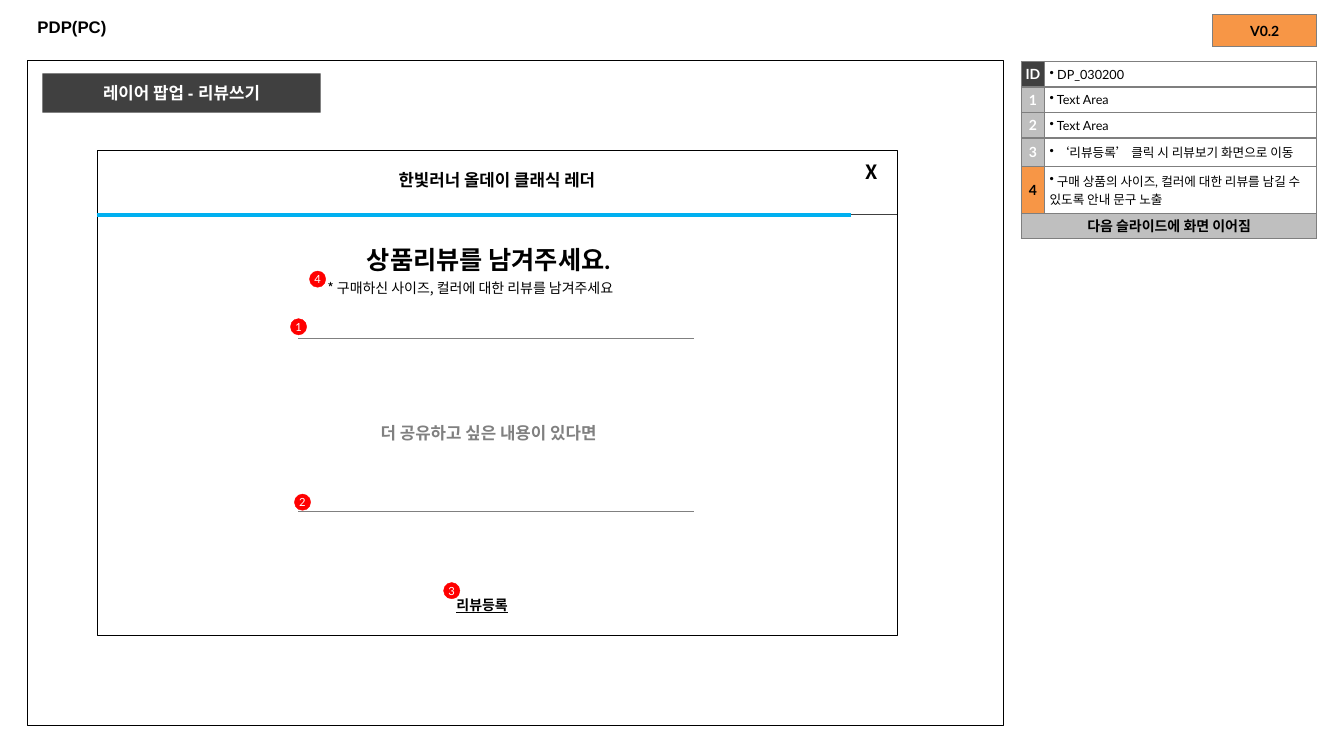
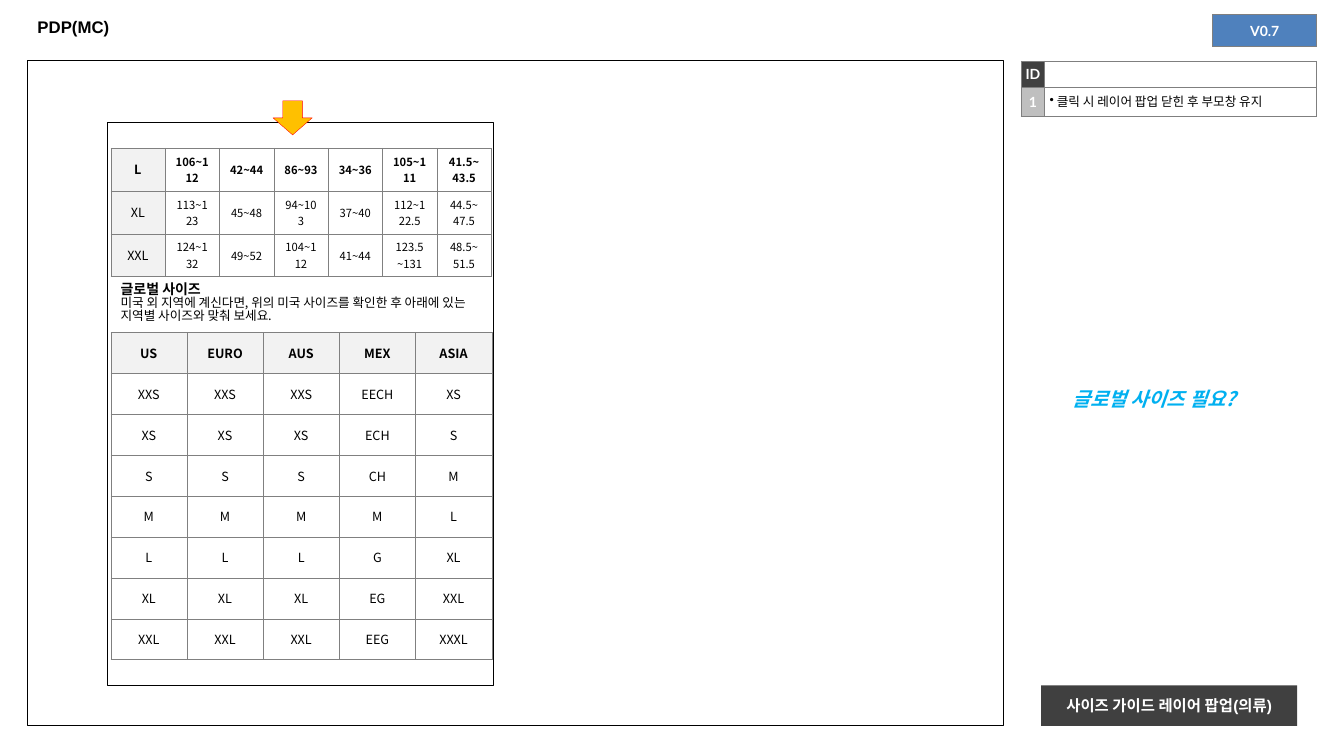
from dataclasses import dataclass
from pptx import Presentation
from pptx.dml.color import RGBColor
from pptx.enum.shapes import MSO_CONNECTOR, MSO_SHAPE
from pptx.enum.text import MSO_ANCHOR, PP_ALIGN
from pptx.oxml import parse_xml
from pptx.oxml.ns import nsdecls
from pptx.oxml.xmlchemy import OxmlElement
from pptx.util import Cm, Pt


@dataclass(frozen=True)
class Theme:
    black: str = "000000"
    white: str = "FFFFFF"
    dark: str = "404040"
    mid: str = "7F7F7F"
    gray: str = "808080"
    silver: str = "BFBFBF"
    pale: str = "F2F2F2"
    orange: str = "F79646"
    blue: str = "4F81BD"
    sky: str = "00B0F0"
    red: str = "FF0000"
    gold: str = "FFC000"
    arial: str = "Arial"
    lato: str = "Lato"
    noto: str = "Noto Sans CJK KR"
    huge: float = 18
    large: float = 14
    head: float = 12
    band: float = 11
    label: float = 10
    body: float = 9
    small: float = 8


T = Theme()

PAGES = [
    {
        "title": "PDP(PC)",
        "stamp": ("V0.2", T.orange, T.black),
        "notes": [
            ("ID", "DP_030200", 0.64),
            ("1", "Text Area", 0.64),
            ("2", "Text Area", 0.64),
            ("3", "‘리뷰등록’ 클릭 시 리뷰보기 화면으로 이동", 0.7),
            ("4", "구매 상품의 사이즈, 컬러에 대한 리뷰를 남길 수 있도록 안내 문구 노출", 1.18),
        ],
        "next": "다음 슬라이드에 화면 이어짐",
        "fresh": {"4"},
        "band": ("레이어 팝업 - 리뷰쓰기", (1.07, 1.85, 7.01, 0.99), T.head),
    },
    {
        "title": "PDP(MC)",
        "stamp": ("V0.7", T.blue, T.white),
        "notes": [
            ("ID", "", 0.64),
            ("1", "클릭 시 레이어 팝업 닫힌 후 부모창 유지", 0.73),
        ],
        "next": "",
        "fresh": set(),
        "band": ("사이즈 가이드 레이어 팝업(의류)", (26.24, 17.27, 6.45, 1.02), T.band),
    },
]

POPUP = "한빛러너 올데이 클래식 레더"
LABELS = [
    ("X", (21.56, 3.91, 0.81, 0.86),
     dict(size=T.large, font=T.noto, bold=True, wrap=False)),
    ("상품리뷰를 남겨주세요.", (4.06, 6.02, 16.51, 1.27),
     dict(size=T.huge, bold=True, align=PP_ALIGN.CENTER)),
    ("* 구매하신 사이즈, 컬러에 대한 리뷰를 남겨주세요", (8, 6.93, 8.66, 0.69),
     dict(size=T.label, font=T.noto, wrap=False)),
    ("더 공유하고 싶은 내용이 있다면", (4.06, 10.52, 16.51, 1.27),
     dict(size=T.head, color=T.gray, bold=True, align=PP_ALIGN.CENTER)),
    ("리뷰등록", (10.46, 14.91, 3.38, 0.86),
     dict(size=T.label, bold=True, line=True, align=PP_ALIGN.CENTER)),
]
RULES = [
    (2.44, 22.6, 5.41, T.dark, 0.75),
    (2.44, 21.44, 5.41, T.sky, 3),
    (7.52, 17.5, 8.53, T.gray, 0.75),
    (7.52, 17.5, 12.9, T.gray, 0.75),
]
BADGES = [("1", 7.32, 8.03), ("2", 7.42, 12.45), ("3", 11.18, 14.68), ("4", 7.8, 6.83)]

SIZES = [
    "L 106~112 42~44 86~93 34~36 105~111 41.5~43.5".split(),
    "XL 113~123 45~48 94~103 37~40 112~122.5 44.5~47.5".split(),
    "XXL 124~132 49~52 104~112 41~44 123.5~131 48.5~51.5".split(),
]
WORLD = [
    "US EURO AUS MEX ASIA".split(),
    "XXS XXS XXS EECH XS".split(),
    "XS XS XS ECH S".split(),
    "S S S CH M".split(),
    "M M M M L".split(),
    "L L L G XL".split(),
    "XL XL XL EG XXL".split(),
    "XXL XXL XXL EEG XXXL".split(),
]
GUIDE = ("글로벌 사이즈",
         "미국 외 지역에 계신다면, 위의 미국 사이즈를 확인한 후 아래에 있는 지역별 사이즈와 맞춰 보세요.")
ASK = "글로벌 사이즈 필요?"


def tint(code):
    return RGBColor.from_string(code)


def write(frame, text, size=T.label, font=T.lato, color=T.black, bold=False,
          slant=False, line=False, align=PP_ALIGN.LEFT, bullet=False,
          wrap=None, more=False, space=None):
    if wrap is not None:
        frame.word_wrap = wrap
    para = frame.add_paragraph() if more else frame.paragraphs[0]
    para.alignment = align
    if space:
        para.line_spacing = space
    if not text:
        para._p.get_or_add_endParaRPr().set("sz", str(int(size * 100)))
        return
    if bullet:
        props = para._p.get_or_add_pPr()
        props.set("marL", "0")
        props.set("indent", "0")
        props.append(parse_xml(f'<a:buChar {nsdecls("a")} char="•"/>'))
        text = f" {text}"
    run = para.add_run()
    run.text = text
    face = run.font
    face.size, face.name = Pt(size), font
    face.bold, face.italic, face.underline = bold, slant, line
    face.color.rgb = tint(color)
    asian = OxmlElement("a:ea")
    asian.set("typeface", T.noto)
    run._r.get_or_add_rPr().append(asian)


def pad(item, side, top):
    item.margin_left = item.margin_right = Cm(side)
    item.margin_top = item.margin_bottom = Cm(top)


def draw(slide, kind, spot, fill=None, edge=None, width=0.25):
    shape = slide.shapes.add_shape(kind, *map(Cm, spot))
    shape.shadow.inherit = False
    if fill:
        shape.fill.solid()
        shape.fill.fore_color.rgb = tint(fill)
    else:
        shape.fill.background()
    if edge:
        shape.line.color.rgb = tint(edge)
        shape.line.width = Pt(width)
    else:
        shape.line.fill.background()
    shape.text_frame.vertical_anchor = MSO_ANCHOR.MIDDLE
    return shape


def label(slide, text, spot, wrap=True, **style):
    frame = slide.shapes.add_textbox(*map(Cm, spot)).text_frame
    write(frame, text, wrap=wrap, **style)
    return frame


def rule(slide, left, right, top, color, width):
    line = slide.shapes.add_connector(
        MSO_CONNECTOR.STRAIGHT, Cm(left), Cm(top), Cm(right), Cm(top))
    line.line.color.rgb = tint(color)
    line.line.width = Pt(width)
    line._element.spPr.append(OxmlElement("a:effectLst"))


def grid(slide, left, top, cols, rows, edge, width):
    table = slide.shapes.add_table(
        len(rows), len(cols), Cm(left), Cm(top), Cm(sum(cols)), Cm(sum(rows))).table
    table.first_row = table.horz_banding = False
    for col, size in zip(table.columns, cols):
        col.width = Cm(size)
    for row, size in zip(table.rows, rows):
        row.height = Cm(size)
    for cell in table.iter_cells():
        cell.fill.background()
        cell.vertical_anchor = MSO_ANCHOR.MIDDLE
        props = cell._tc.get_or_add_tcPr()
        for spot, side in enumerate("LRTB"):
            props.insert(spot, parse_xml(
                f'<a:ln{side} {nsdecls("a")} w="{int(Pt(width))}"><a:solidFill>'
                f'<a:srgbClr val="{edge}"/></a:solidFill></a:ln{side}>'))
    return table


def paint(cell, color):
    cell.fill.solid()
    cell.fill.fore_color.rgb = tint(color)


def tag(cell, text, fill, color):
    pad(cell, 0, 0)
    paint(cell, fill)
    write(cell.text_frame, text, color=color, bold=True, align=PP_ALIGN.CENTER)


def notes(slide, page):
    rows = [high for _, _, high in page["notes"]]
    if page["next"]:
        rows.append(0.62)
    table = grid(slide, 25.74, 1.55, [0.58, 6.86], rows, T.mid, 1)
    for row, (key, text, _) in enumerate(page["notes"]):
        fresh = key in page["fresh"]
        fill = T.orange if fresh else T.silver if row else T.dark
        tag(table.cell(row, 0), key, fill, T.black if fresh else T.white)
        cell = table.cell(row, 1)
        cell.vertical_anchor = MSO_ANCHOR.TOP
        pad(cell, 0.13, 0.13)
        write(cell.text_frame, text, size=T.body, bullet=True)
    if page["next"]:
        last = table.cell(len(rows) - 1, 0)
        last.merge(table.cell(len(rows) - 1, 1))
        tag(last, page["next"], T.silver, T.black)


def start(deck, page):
    slide = deck.slides.add_slide(deck.slide_layouts[5])
    title = slide.shapes.title
    title.left, title.top, title.width, title.height = map(Cm, (0.69, 0.18, 32.49, 0.99))
    title.text_frame.vertical_anchor = MSO_ANCHOR.MIDDLE
    write(title.text_frame, page["title"], size=T.head, font=T.arial, bold=True)
    draw(slide, MSO_SHAPE.RECTANGLE, (0.69, 1.52, 24.61, 16.76), edge=T.black, width=0.75)
    tag(grid(slide, 30.56, 0.37, [2.62], [0.81], T.mid, 1).cell(0, 0), *page["stamp"])
    notes(slide, page)
    text, spot, size = page["band"]
    band = draw(slide, MSO_SHAPE.RECTANGLE, spot, fill=T.dark)
    write(band.text_frame, text, size=size, font=T.arial, color=T.white,
          bold=True, align=PP_ALIGN.CENTER)
    return slide


def review(slide):
    popup = draw(slide, MSO_SHAPE.RECTANGLE, (2.44, 3.78, 20.17, 12.24), edge=T.black)
    frame = popup.text_frame
    pad(frame, 0.1, 0.5)
    frame.vertical_anchor = MSO_ANCHOR.TOP
    write(frame, POPUP, size=T.head, bold=True, align=PP_ALIGN.CENTER)
    for line in RULES:
        rule(slide, *line)
    for text, spot, style in LABELS:
        label(slide, text, spot, **style)
    for text, left, top in BADGES:
        badge = draw(slide, MSO_SHAPE.OVAL, (left, top, 0.41, 0.41), fill=T.red, edge=T.red)
        pad(badge.text_frame, 0, 0)
        write(badge.text_frame, text, size=T.small, color=T.white,
              align=PP_ALIGN.CENTER, wrap=False)


def chart(slide, data, top, wide, high, side):
    table = grid(slide, 2.79, top, [wide] * len(data[0]), [high] * len(data), T.gray, 0.25)
    for row, line in enumerate(data):
        for col, text in enumerate(line):
            cell = table.cell(row, col)
            if (col if side else row) == 0:
                paint(cell, T.pale)
            write(cell.text_frame, text, size=T.small if side and col else T.body,
                  font=T.noto, bold=row == 0, align=PP_ALIGN.CENTER)


def sizes(slide):
    draw(slide, MSO_SHAPE.RECTANGLE, (2.69, 3.07, 9.75, 14.2), edge=T.black)
    draw(slide, MSO_SHAPE.DOWN_ARROW, (6.88, 2.54, 0.99, 0.86), fill=T.gold, edge=T.red)
    chart(slide, SIZES, 3.73, 1.37, 1.08, True)
    chart(slide, WORLD, 8.38, 1.92, 1.03, False)
    head, text = GUIDE
    frame = label(slide, head, (2.79, 7.01, 9.55, 1.45), font=T.noto, bold=True, space=0.85)
    write(frame, text, size=T.body, font=T.noto, more=True, space=0.85)
    label(slide, ASK, (26.77, 9.63, 5.11, 0.86), size=T.large, font=T.noto,
          color=T.sky, bold=True, slant=True, wrap=False)


def main():
    deck = Presentation()
    deck.slide_width, deck.slide_height = Cm(33.87), Cm(19.05)
    for page, build in zip(PAGES, (review, sizes)):
        build(start(deck, page))
    deck.save("out.pptx")


if __name__ == "__main__":
    main()
